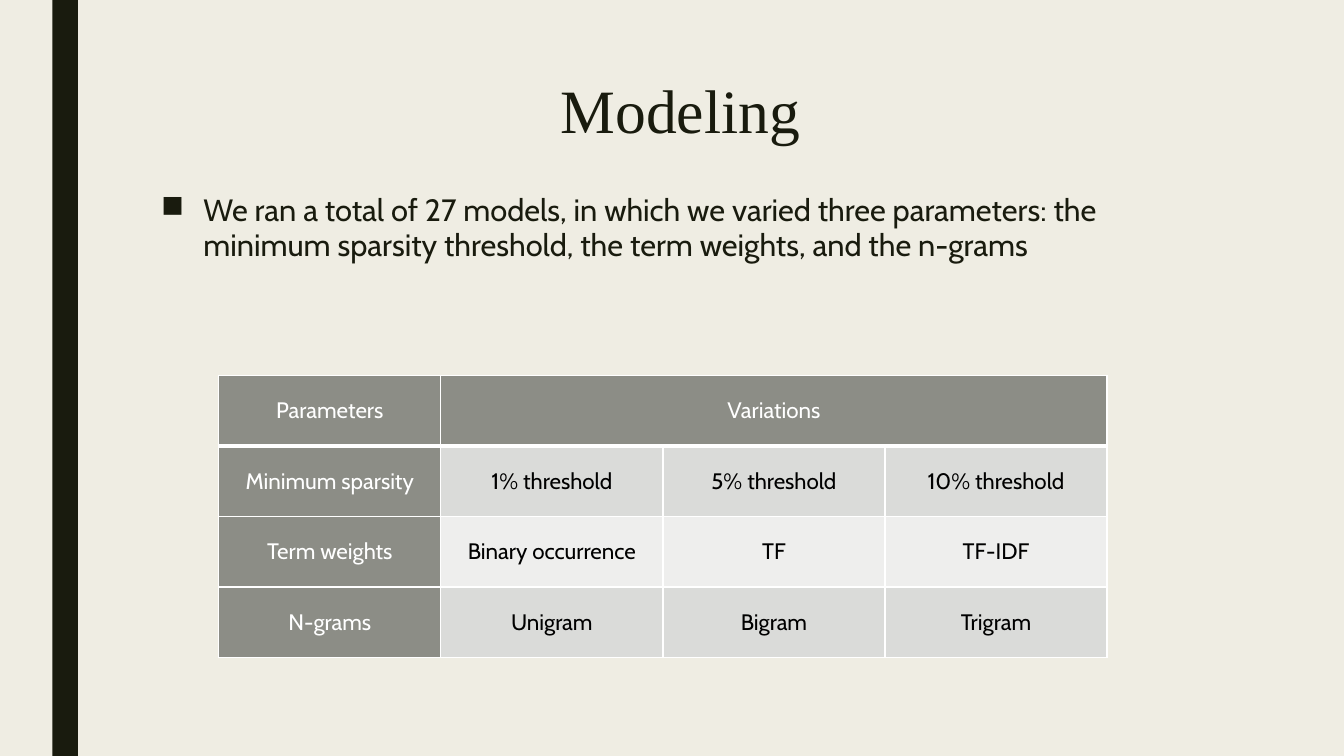
import dataclasses

import lxml.etree
import pptx
import pptx.dml.color
import pptx.enum.shapes
import pptx.enum.text
import pptx.oxml.ns
import pptx.util


@dataclasses.dataclass(frozen=True)
class Theme:
    paper: str = "EFEDE3"
    ink: str = "191B0E"
    heading_fill: str = "8C8D86"
    band_fills: tuple = ("DADBD9", "EEEEED")
    white: str = "FFFFFF"
    black: str = "000000"
    title_font: str = "Times New Roman"
    text_font: str = "Cabin"
    title_size: int = 44
    body_size: int = 22
    table_size: int = 16


THEME = Theme()
WIDTH = pptx.util.Inches(13.33)
HEIGHT = pptx.util.Inches(7.5)
CENTER = pptx.enum.text.PP_ALIGN.CENTER
PARAMETERS = [
    ["Parameters", "Variations", "", ""],
    ["Minimum sparsity", "1% threshold", "5% threshold", "10% threshold"],
    ["Term weights", "Binary occurrence", "TF", "TF-IDF"],
    ["N-grams", "Unigram", "Bigram", "Trigram"],
]


def rgb(color):
    return pptx.dml.color.RGBColor.from_string(color)


def area(left, top, width, height):
    return [round(share * side) for share, side in
            zip((left, top, width, height), (WIDTH, HEIGHT, WIDTH, HEIGHT))]


def add_element(parent, tag, **attributes):
    return lxml.etree.SubElement(parent, pptx.oxml.ns.qn(tag), attributes)


def style_font(paragraph, family, size, color):
    for run in paragraph.runs:
        run.font.name = family
        run.font.size = pptx.util.Pt(size)
        run.font.color.rgb = rgb(color)


def add_side_bar(slide):
    bar = slide.shapes.add_shape(
        pptx.enum.shapes.MSO_SHAPE.RECTANGLE, *area(0.039, 0, 0.019, 1))
    bar.shadow.inherit = False
    bar.fill.solid()
    bar.fill.fore_color.rgb = rgb(THEME.ink)
    bar.line.fill.background()


def add_text(slide, bounds, text, family, size, spacing):
    frame = slide.shapes.add_textbox(*bounds).text_frame
    frame.word_wrap = True
    paragraph = frame.paragraphs[0]
    paragraph.text = text
    paragraph.line_spacing = spacing
    style_font(paragraph, family, size, THEME.ink)
    return paragraph


def add_square_bullet(paragraph):
    indent = pptx.util.Inches(0.42)
    properties = paragraph._p.get_or_add_pPr()
    properties.set("marL", str(indent))
    properties.set("indent", str(-indent))
    add_element(properties, "a:buChar", char="■")


def add_borders(cell, bottom_width):
    properties = cell._tc.get_or_add_tcPr()
    for side, width in (("L", 1), ("R", 1), ("T", 1), ("B", bottom_width)):
        border = add_element(properties, f"a:ln{side}", w=str(pptx.util.Pt(width)))
        add_element(add_element(border, "a:solidFill"), "a:srgbClr", val=THEME.white)


def style_cell(cell, text, row, column):
    heading = row == 0 or column == 0
    add_borders(cell, 3 if row == 0 else 1)
    cell.fill.solid()
    cell.fill.fore_color.rgb = rgb(
        THEME.heading_fill if heading else THEME.band_fills[(row - 1) % 2])
    cell.vertical_anchor = pptx.enum.text.MSO_ANCHOR.MIDDLE
    cell.margin_left = cell.margin_right = pptx.util.Inches(0.08)
    cell.margin_top = cell.margin_bottom = pptx.util.Inches(0.07)
    paragraph = cell.text_frame.paragraphs[0]
    paragraph.text = text
    paragraph.alignment = CENTER
    style_font(paragraph, THEME.text_font, THEME.table_size,
               THEME.white if heading else THEME.black)


def add_parameter_table(slide, bounds):
    table = slide.shapes.add_table(
        len(PARAMETERS), len(PARAMETERS[0]), *bounds).table
    for row, texts in enumerate(PARAMETERS):
        for column, text in enumerate(texts):
            style_cell(table.cell(row, column), text, row, column)
    table.cell(0, 1).merge(table.cell(0, 3))


def main():
    deck = pptx.Presentation()
    deck.slide_width, deck.slide_height = WIDTH, HEIGHT
    slide = deck.slides.add_slide(deck.slide_layouts[6])
    slide.background.fill.solid()
    slide.background.fill.fore_color.rgb = rgb(THEME.paper)

    add_side_bar(slide)
    title = add_text(slide, area(0.1125, 0.1, 0.7875, 0.216), "Modeling",
                     THEME.title_font, THEME.title_size, 0.89)
    title.alignment = CENTER
    summary = add_text(
        slide, area(0.1125, 0.25, 0.7875, 0.523),
        "We ran a total of 27 models, in which we varied three parameters: "
        "the minimum sparsity threshold, the term weights, and the n-grams",
        THEME.text_font, THEME.body_size, 0.94)
    add_square_bullet(summary)
    add_parameter_table(slide, area(0.1628, 0.4967, 0.6609, 0.3733))
    deck.save("out.pptx")


if __name__ == "__main__":
    main()
